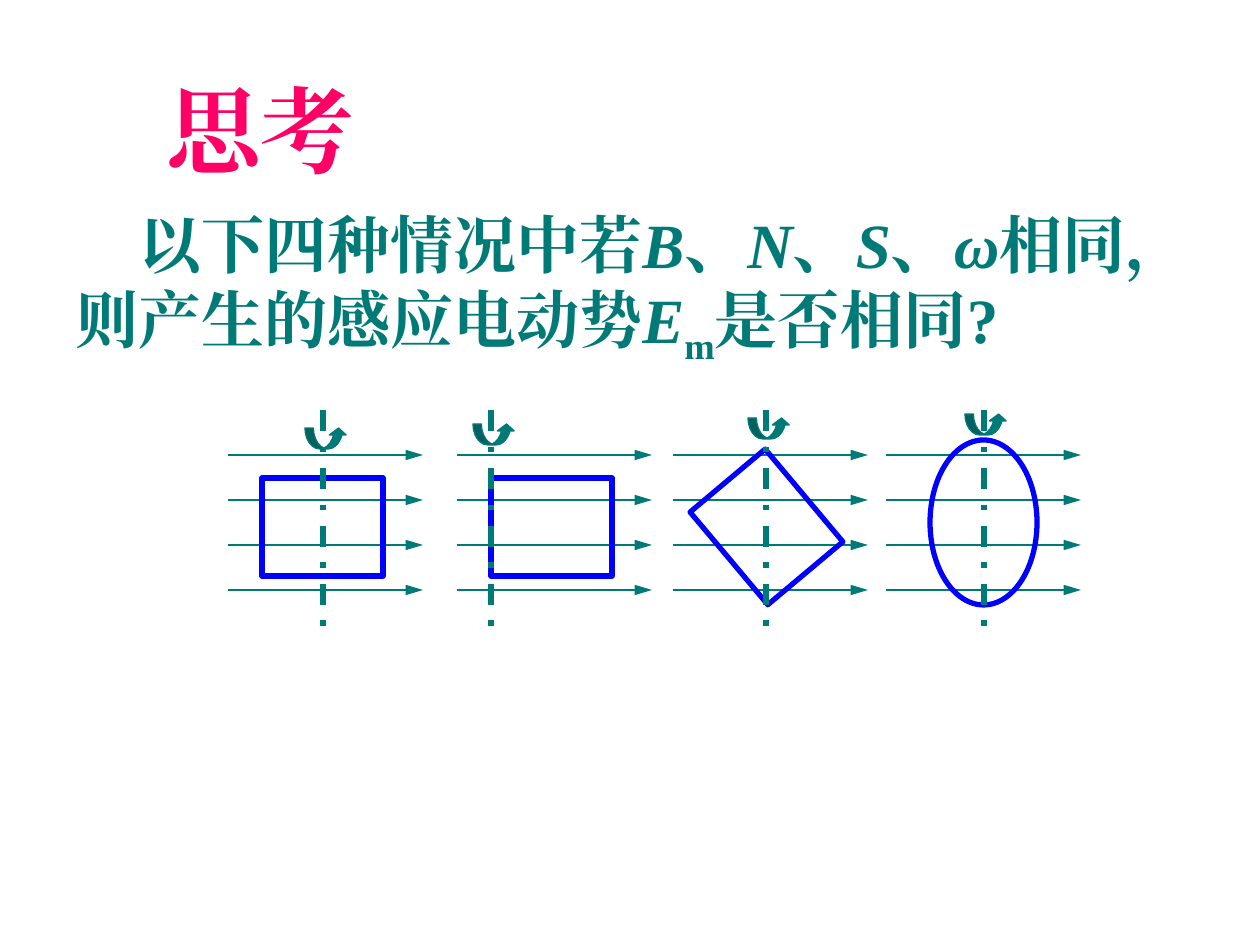
import pptx
import pptx.util
import pptx.dml.color
import pptx.enum.dml
import pptx.enum.shapes
import pptx.oxml.ns
from lxml import etree

MSO = pptx.enum.shapes.MSO_SHAPE
COLORS = {"teal": "007A77", "pink": "FF0066", "blue": "0000FF"}
FONT = "Times New Roman"
TITLE = [("思考", "")]
QUESTION = [
    ("以下四种情况中若", ""), ("B", "i"), ("、", ""), ("N", "i"), ("、", ""),
    ("S", "i"), ("、", ""), ("ω", "i"), ("相同，则产生的感应电动势", ""),
    ("E", "i"), ("m", "sub"), ("是否相同?", ""),
]
RECT, OVAL = MSO.RECTANGLE, MSO.OVAL
CASES = [
    {"field": 228, "axis": 323, "coil": (RECT, 262, 478, 121, 98, 0), "turn": (305, 428)},
    {"field": 457, "axis": 491, "coil": (RECT, 491, 478, 121, 98, 0), "turn": (473, 424)},
    {"field": 673, "axis": 766, "coil": (RECT, 706, 478, 121, 98, 50), "turn": (748, 418)},
    {"field": 886, "axis": 984, "coil": (OVAL, 930, 440, 107, 165, 0), "turn": (965, 414)},
]
FIELD_TOP, FIELD_STEP, FIELD_COUNT, FIELD_LENGTH = 455, 45, 4, 195
AXIS_TOP, AXIS_BOTTOM = 410, 627
TURN_SIZE = (42, 21)
TURN_ADJUST = (0.4, 0.8, 0.33)


def px(n):
    return round(n * 914400 / 126)


def rgb(name):
    return pptx.dml.color.RGBColor.from_string(COLORS[name])


def sub(parent, tag, **attrs):
    return etree.SubElement(parent, pptx.oxml.ns.qn(tag), attrs)


def add_text(s, runs, box, size, color, wrap=True, indent=0):
    tf = s.shapes.add_textbox(*map(px, box)).text_frame
    tf.word_wrap = wrap
    p = tf.paragraphs[0]
    if indent:
        p._p.get_or_add_pPr().set("indent", str(px(indent)))
    for text, style in runs:
        r = p.add_run()
        r.text = text
        f = r.font
        f.size, f.bold, f.italic, f.name = pptx.util.Pt(size), True, style == "i", FONT
        f.color.rgb = rgb(color)
        sub(r._r.rPr, "a:ea", typeface=FONT)
        if style == "sub":
            r._r.rPr.set("baseline", "-25000")


def add_line(s, x1, y1, x2, y2, width, dash=None, arrow=False):
    c = s.shapes.add_connector(
        pptx.enum.shapes.MSO_CONNECTOR.STRAIGHT, *map(px, (x1, y1, x2, y2)))
    c.line.color.rgb = rgb("teal")
    c.line.width = pptx.util.Pt(width)
    if dash:
        c.line.dash_style = dash
    if arrow:
        sub(c.line._get_or_add_ln(), "a:tailEnd", type="triangle", w="med", len="lg")
    sub(c._element.spPr, "a:effectLst")


def add_shape(s, kind, box, line, width, fill=None):
    sp = s.shapes.add_shape(kind, *map(px, box))
    sp.shadow.inherit = False
    if fill:
        sp.fill.solid()
        sp.fill.fore_color.rgb = rgb(fill)
    else:
        sp.fill.background()
    sp.line.color.rgb = rgb(line)
    sp.line.width = pptx.util.Pt(width)
    return sp


def add_case(s, case):
    for i in range(FIELD_COUNT):
        y = FIELD_TOP + i * FIELD_STEP
        add_line(s, case["field"], y, case["field"] + FIELD_LENGTH, y, 1.5, arrow=True)
    kind, *box, angle = case["coil"]
    add_shape(s, kind, box, "blue", 3).rotation = angle
    add_line(s, case["axis"], AXIS_TOP, case["axis"], AXIS_BOTTOM, 3,
             dash=pptx.enum.dml.MSO_LINE.DASH_DOT)
    turn = add_shape(s, MSO.CURVED_UP_ARROW, case["turn"] + TURN_SIZE, "teal", 0.75, "teal")
    for i, value in enumerate(TURN_ADJUST):
        turn.adjustments[i] = value


def main():
    prs = pptx.Presentation()
    prs.slide_width, prs.slide_height = px(1260), px(945)
    s = prs.slides.add_slide(prs.slide_layouts[6])
    add_text(s, QUESTION, (63, 199, 1174, 251), 36, "teal", indent=63)
    for case in CASES:
        add_case(s, case)
    add_text(s, TITLE, (154, 66, 214, 126), 54, "pink", wrap=False)
    prs.save("out.pptx")


if __name__ == "__main__":
    main()
